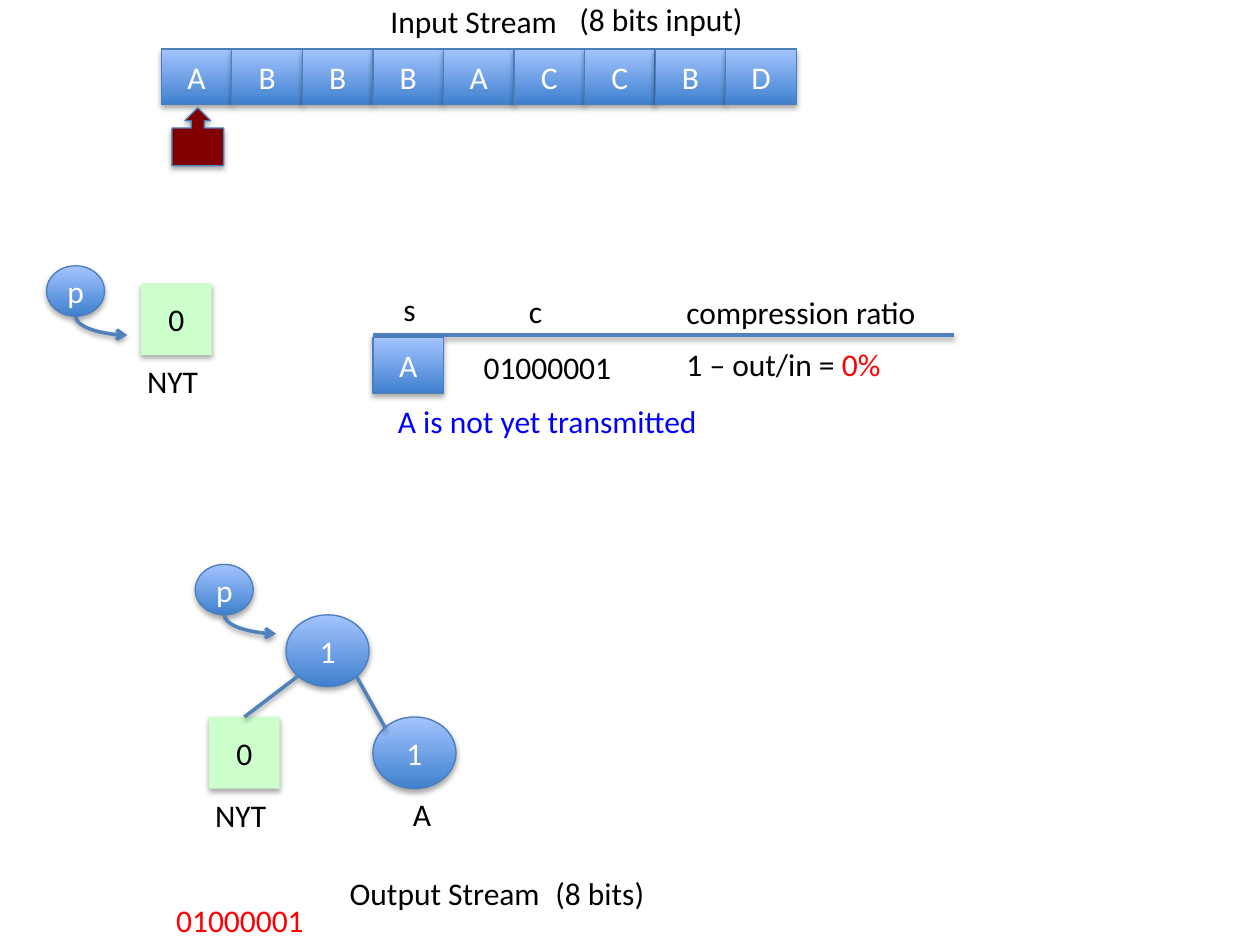
from pptx import Presentation
from pptx.dml.color import RGBColor as Rgb
from pptx.enum.shapes import MSO_CONNECTOR as Link, MSO_SHAPE as Form
from pptx.enum.text import MSO_ANCHOR as Anchor, MSO_AUTO_SIZE as Fit, PP_ALIGN as Align
from pptx.oxml import parse_xml
from pptx.oxml.ns import nsdecls
from pptx.util import Inches, Pt

COLS, ROWS = 100, 75
UNIT = Inches(10) / COLS
CELL = (5.6, 4.4)
NODE = (6.6, 5.7)
INK = {
    "black": "000000", "white": "FFFFFF", "red": "FF0000", "blue": "0000FF",
    "low": "3F80CE", "high": "A4C4FF", "edge": "4B7EBC", "link": "4F81BD",
    "green": "CCFFCC", "maroon": "800000",
}


def grid(*vals):
    """Turn grid columns and rows into slide lengths."""
    return [round(val * UNIT) for val in vals]


def tint(name):
    """Look up a colour by name."""
    return Rgb.from_string(INK[name])


def cast(item, alpha, dist):
    """Give a shape or line a soft shadow straight below it."""
    item._element.spPr.append(parse_xml(
        f'<a:effectLst {nsdecls("a")}><a:outerShdw blurRad="40000" dist="{dist}" '
        f'dir="5400000" rotWithShape="0"><a:srgbClr val="{INK["black"]}">'
        f'<a:alpha val="{alpha}000"/></a:srgbClr></a:outerShdw></a:effectLst>'))


def write(frame, text, ink, align):
    """Write one paragraph in the slide's font."""
    para = frame.paragraphs[0]
    para.text, para.alignment = text, align
    font = para.font
    font.name, font.size = "Calibri", Pt(18)
    font.color.rgb = tint(ink)
    return para


def label(tree, text, x, y, wide, ink="black", align=Align.LEFT):
    """Add a text box and return its paragraph."""
    frame = tree.add_textbox(*grid(x, y, wide, 4)).text_frame
    frame.word_wrap, frame.auto_size = True, Fit.SHAPE_TO_FIT_TEXT
    return write(frame, text, ink, align)


def block(tree, form, x, y, size, text="", fill=None, ink="white", edge=True):
    """Add a shadowed shape, blue gradient unless a fill is named."""
    item = tree.add_shape(form, *grid(x, y, *size))
    if fill:
        item.fill.solid()
        item.fill.fore_color.rgb = tint(fill)
    else:
        item.fill.gradient()
        item.fill.gradient_angle = 90
        for stop, name in zip(item.fill.gradient_stops, ("low", "high")):
            stop.color.rgb = tint(name)
    if edge:
        item.line.color.rgb, item.line.width = tint("edge"), Pt(0.75)
    else:
        item.line.fill.background()
    cast(item, 35, 23000)
    if text:
        item.text_frame.vertical_anchor = Anchor.MIDDLE
        write(item.text_frame, text, ink, Align.CENTER)
    return item


def join(tree, x1, y1, x2, y2, kind=Link.STRAIGHT):
    """Add a shadowed line between two grid points."""
    item = tree.add_connector(kind, *grid(x1, y1, x2, y2))
    item.line.color.rgb, item.line.width = tint("link"), Pt(2)
    cast(item, 38, 20000)
    return item


def point(tree, x, y):
    """Add the p marker with its bent arrow."""
    block(tree, Form.OVAL, x, y, (4.6, 4), "p")
    bend = join(tree, x + 5.1, y + 2.7, x + 3.6, y + 6.8, Link.CURVE)
    shape = bend._element.spPr
    shape.xfrm.set("rot", "16200000")
    shape.prstGeom.set("prst", "curvedConnector2")
    bend.line._get_or_add_ln().append(
        parse_xml(f'<a:tailEnd {nsdecls("a")} type="arrow"/>'))


def leaf(tree, x, y):
    """Add the grouped NYT leaf."""
    team = tree.add_group_shape().shapes
    block(team, Form.RECTANGLE, x, y, (5.6, 5.7), "0", "green", "black", False)
    label(team, "NYT", x - 1.1, y + 5.75, 7.2, align=Align.CENTER)


def feed(tree):
    """Draw the input stream and its cursor."""
    for col, sign in enumerate("ABBBACCBD"):
        block(tree, Form.RECTANGLE, 12.8 + col * CELL[0], 3.9, CELL, sign)
    label(tree, "Input Stream", 21.7, -0.3, 31.8, align=Align.CENTER)
    label(tree, "(8 bits input)", 45, -0.5, 23.5)
    mark = block(tree, Form.RIGHT_ARROW_CALLOUT, 13.4, 8.8, (4.6, 4.1), fill="maroon")
    mark.rotation = 270


def chart(tree):
    """Draw the symbol, code and ratio columns."""
    label(tree, "s", 28.6, 22.5, 7.8, align=Align.CENTER)
    label(tree, "c", 38.6, 22.7, 7.8, align=Align.CENTER)
    label(tree, "compression ratio", 53.5, 22.8, 24.3)
    join(tree, 29.6, 26.6, 75.7, 26.6)
    block(tree, Form.RECTANGLE, 29.6, 26.8, CELL, "A")
    label(tree, "01000001", 37.4, 27.1, 15.6)
    run = label(tree, "1 – out/in = ", 53.5, 26.9, 22.3).add_run()
    run.text, run.font.color.rgb = "0%", tint("red")
    label(tree, "A is not yet transmitted", 30.6, 31.4, 27.1, "blue")


def grow(tree):
    """Draw the tree before and after the first symbol."""
    point(tree, 3.7, 21.1)
    leaf(tree, 11.2, 22.5)
    leaf(tree, 16.6, 56.9)
    team = tree.add_group_shape().shapes
    block(team, Form.OVAL, 29.6, 56.9, NODE, "1")
    label(team, "A", 29.6, 62.6, 7.8, align=Align.CENTER)
    block(tree, Form.OVAL, 22.7, 48.8, NODE, "1")
    point(tree, 15.5, 44.8)
    join(tree, 19.4, 56.9, 23.6, 53.7)
    join(tree, 30.6, 57.8, 28.3, 53.7)


def emit(tree):
    """Write the output stream."""
    label(tree, "01000001", 13, 71, 15.6, "red")
    label(tree, "Output Stream", 10.1, 68.9, 50.4, align=Align.CENTER)
    label(tree, "(8 bits)", 43.1, 68.9, 15.6)


def main():
    """Build the slide and save it."""
    deck = Presentation()
    deck.slide_width, deck.slide_height = grid(COLS, ROWS)
    tree = deck.slides.add_slide(deck.slide_layouts[6]).shapes
    for part in (feed, chart, grow, emit):
        part(tree)
    deck.save("out.pptx")


if __name__ == "__main__":
    main()
